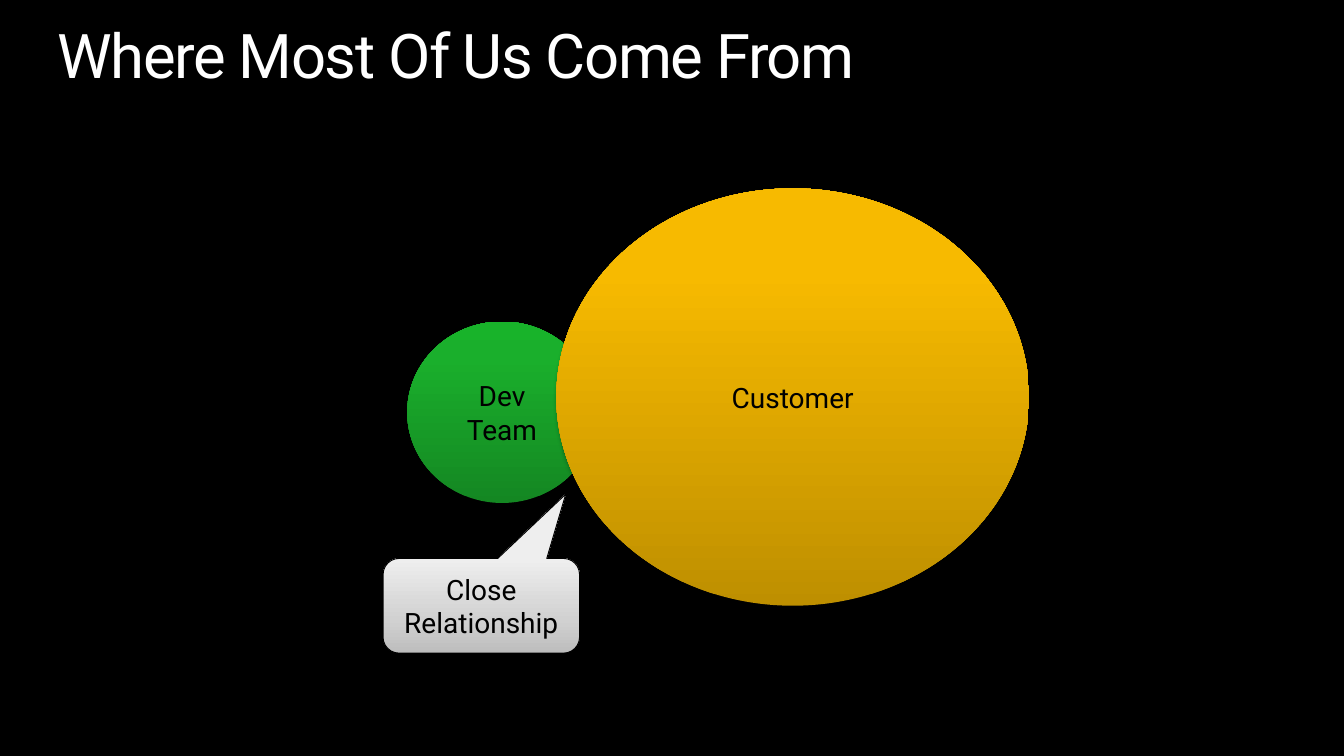
import pptx
import pptx.dml.color
import pptx.enum.shapes
import pptx.enum.text
import pptx.oxml
import pptx.oxml.ns
import pptx.util

Pt = pptx.util.Pt
Kind = pptx.enum.shapes.MSO_SHAPE
Align = pptx.enum.text.PP_ALIGN
Anchor = pptx.enum.text.MSO_ANCHOR


def color(code):
    return pptx.dml.color.RGBColor.from_string(code)


class Deck:
    font = "Roboto"
    ink = "000000"
    paper = "FFFFFF"

    def __init__(self):
        self.prs = pptx.Presentation()
        self.prs.slide_width, self.prs.slide_height = Pt(960), Pt(540)
        self.slide = self.prs.slides.add_slide(self.prs.slide_layouts[5])
        back = self.slide.background.fill
        back.solid()
        back.fore_color.rgb = color(self.ink)

    def add_run(self, para, text, size, code):
        run = para.add_run()
        run.text = text
        run.font.name = self.font
        run.font.size = Pt(size)
        run.font.color.rgb = color(code)
        return run

    def title(self, text, box):
        shape = self.slide.shapes.title
        shape.left, shape.top, shape.width, shape.height = map(Pt, box)
        frame = shape.text_frame
        frame.margin_left = frame.margin_right = 0
        frame.margin_top = frame.margin_bottom = 0
        frame.vertical_anchor = Anchor.TOP
        frame.word_wrap = True
        frame.auto_size = pptx.enum.text.MSO_AUTO_SIZE.NONE
        para = frame.paragraphs[0]
        para.alignment = Align.LEFT
        para.line_spacing = 0.9
        run = self.add_run(para, text, 44, self.paper)
        run.font._element.set("spc", "-100")

    def bubble(self, kind, text, box, stops, shade, edge=None):
        shape = self.slide.shapes.add_shape(kind, *map(Pt, box))
        self.blend(shape, stops)
        if edge:
            shape.line.color.rgb = color(self.ink)
            shape.line.width = Pt(edge)
        else:
            shape.line.fill.background()
        self.shadow(shape, *shade)
        frame = shape.text_frame
        frame.word_wrap = True
        frame.vertical_anchor = Anchor.MIDDLE
        para = frame.paragraphs[0]
        para.alignment = Align.CENTER
        self.add_run(para, text, 20, self.ink)
        return shape

    def blend(self, shape, stops):
        """Fill with a gradient of (percent, colour) stops, bottom to top."""
        shape.fill.gradient()
        shape.fill.gradient_angle = 90
        items = shape._element.spPr.find(".//" + pptx.oxml.ns.qn("a:gsLst"))
        items.clear()
        for spot, code in stops:
            items.append(pptx.oxml.parse_xml(
                f'<a:gs {pptx.oxml.ns.nsdecls("a")} pos="{spot * 1000}">'
                f'<a:srgbClr val="{code}"/></a:gs>'))

    def shadow(self, shape, alpha, blur, dist):
        """Cast a shadow straight down."""
        shape.shadow.inherit = False
        spot = shape._element.spPr.find(pptx.oxml.ns.qn("a:effectLst"))
        spot.append(pptx.oxml.parse_xml(
            f'<a:outerShdw {pptx.oxml.ns.nsdecls("a")} blurRad="{Pt(blur)}" '
            f'dist="{Pt(dist)}" dir="5400000" rotWithShape="0">'
            f'<a:srgbClr val="{self.ink}"><a:alpha val="{alpha * 1000}"/>'
            '</a:srgbClr></a:outerShdw>'))


def main():
    deck = Deck()
    deck.title("Where Most Of Us Come From", (41, 18, 877.7, 48.2))
    soft = (35, 3.1, 1.8)
    deck.bubble(Kind.OVAL, "Dev Team", (290.9, 229.7, 135.4, 129.6),
                [(0, "148722"), (80, "1AAF2C"), (100, "18B32A")], soft)
    deck.bubble(Kind.OVAL, "Customer", (397.4, 134.6, 337.7, 298.1),
                [(0, "BE8F00"), (80, "F7BA00"), (100, "F8BB00")], soft)
    note = deck.bubble(
        Kind.ROUNDED_RECTANGULAR_CALLOUT, "Close Relationship",
        (273.6, 398.9, 140.4, 67.7),
        [(0, "BDBDBD"), (35, "D1D1D1"), (100, "EEEEEE")],
        (38, 3.1, 1.6), edge=0.75)
    for i, value in enumerate((0.43, -1.18, 0.17)):
        note.adjustments[i] = value
    deck.prs.save("out.pptx")


if __name__ == "__main__":
    main()
